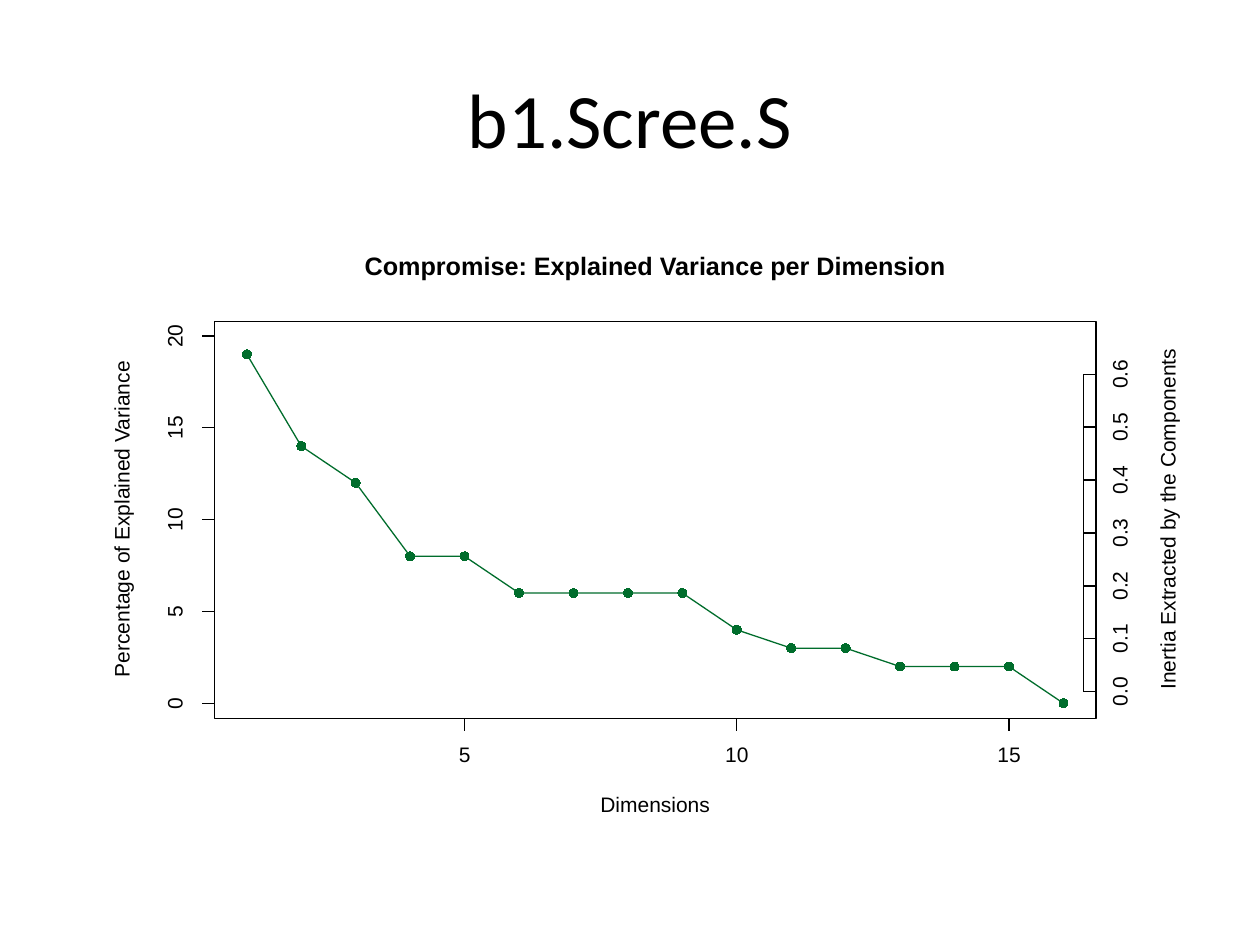
from dataclasses import dataclass
from lxml.etree import SubElement
from pptx import Presentation
from pptx.chart.data import XyChartData
from pptx.dml.color import RGBColor as Rgb
from pptx.enum.chart import XL_CHART_TYPE as Kind, XL_MARKER_STYLE as Mark
from pptx.enum.shapes import MSO_CONNECTOR as Conn, MSO_SHAPE as Form
from pptx.enum.text import MSO_ANCHOR as Anchor, PP_ALIGN as Align
from pptx.oxml import parse_xml
from pptx.oxml.ns import nsdecls, qn
from pptx.util import Inches, Pt


@dataclass(frozen=True)
class Theme:
    ink: Rgb = Rgb(0, 0, 0)
    green: Rgb = Rgb(0x00, 0x6D, 0x2C)
    head: str = "Calibri"
    body: str = "Arial"
    title: float = 44
    label: float = 14.4
    small: float = 12
    rule: float = 0.75
    dot: int = 5


THEME = Theme()
PANEL = (0.5, 1.75, 9, 4.95)
FRAME = (1.7, 2.55, 7, 3.15)
LEFT, TOP, WIDE, HIGH = FRAME
RIGHT, BASE = LEFT + WIDE, TOP + HIGH
XMIN, XMAX = 0.4, 16.6
YMIN, YMAX = -0.8, 20.8
TICK = 0.1
SHARES = [19, 14, 12, 8, 8, 6, 6, 6, 6, 4, 3, 3, 2, 2, 2, 0]


def across(val):
    return LEFT + (val - XMIN) / (XMAX - XMIN) * WIDE


def upward(val):
    return BASE - (val - YMIN) / (YMAX - YMIN) * HIGH


def inner(val):
    return 5.49 - 4.2 * val


def write(slide, text, mid, size=THEME.small, font=THEME.body, bold=False,
          turn=0, wide=0.24, high=0.16, tight=True):
    x, y = mid
    box = slide.shapes.add_textbox(Inches(x - wide / 2), Inches(y - high / 2),
                                   Inches(wide), Inches(high))
    box.rotation = turn
    frame = box.text_frame
    frame.word_wrap = not tight
    frame.vertical_anchor = Anchor.MIDDLE
    para = frame.paragraphs[0]
    para.alignment = Align.CENTER
    if tight:
        frame.margin_left = frame.margin_right = 0
        frame.margin_top = frame.margin_bottom = 0
        para.line_spacing = Pt(size)
    run = para.add_run()
    run.text = text
    run.font.size = Pt(size)
    run.font.name = font
    run.font.bold = bold
    run.font.color.rgb = THEME.ink


def line(slide, x1, y1, x2, y2):
    rule = slide.shapes.add_connector(
        Conn.STRAIGHT, Inches(x1), Inches(y1), Inches(x2), Inches(y2))
    rule.line.color.rgb = THEME.ink
    rule.line.width = Pt(THEME.rule)
    SubElement(rule.element.spPr, qn("a:effectLst"))


def border(slide):
    box = slide.shapes.add_shape(Form.RECTANGLE, *map(Inches, FRAME))
    box.shadow.inherit = False
    box.fill.background()
    box.line.color.rgb = THEME.ink
    box.line.width = Pt(THEME.rule)


def place(chart):
    left, top, wide, high = PANEL
    parts = {"x": (LEFT - left) / wide, "y": (TOP - top) / high,
             "w": WIDE / wide, "h": HIGH / high}
    modes = '<c:xMode val="edge"/><c:yMode val="edge"/>'
    sizes = "".join(f'<c:{key} val="{val:.5f}"/>' for key, val in parts.items())
    area = chart.element.find(".//" + qn("c:plotArea"))
    for old in area.findall(qn("c:layout")):
        area.remove(old)
    area.insert(0, parse_xml(
        f'<c:layout {nsdecls("c")}><c:manualLayout>'
        f'<c:layoutTarget val="inner"/>{modes}{sizes}'
        '</c:manualLayout></c:layout>'))


def plot(slide):
    data = XyChartData()
    row = data.add_series("Percentage of Explained Variance")
    for dim, share in enumerate(SHARES, 1):
        row.add_data_point(dim, share)
    chart = slide.shapes.add_chart(
        Kind.XY_SCATTER_LINES, *map(Inches, PANEL), data).chart
    chart.has_title = chart.has_legend = False
    chart.font.name = THEME.body
    chart.font.size = Pt(THEME.small)
    chart.font.color.rgb = THEME.ink
    place(chart)
    ends = ((chart.category_axis, XMIN, XMAX), (chart.value_axis, YMIN, YMAX))
    for axis, low, top in ends:
        axis.minimum_scale, axis.maximum_scale = low, top
        axis.major_unit = 5
        axis.has_major_gridlines = False
        axis.visible = False
    chart.plots[0].vary_by_categories = False
    curve = chart.plots[0].series[0]
    curve.smooth = False
    curve.format.line.color.rgb = THEME.green
    curve.format.line.width = Pt(THEME.rule)
    curve.marker.style = Mark.CIRCLE
    curve.marker.size = THEME.dot
    curve.marker.format.fill.solid()
    curve.marker.format.fill.fore_color.rgb = THEME.green
    curve.marker.format.line.color.rgb = THEME.green


def scales(slide):
    line(slide, across(5), BASE, across(15), BASE)
    for val in range(5, 16, 5):
        x = across(val)
        line(slide, x, BASE, x, BASE + TICK)
        write(slide, str(val), (x, 6))
    line(slide, LEFT, upward(0), LEFT, upward(20))
    for val in range(0, 21, 5):
        y = upward(val)
        line(slide, LEFT, y, LEFT - TICK, y)
        write(slide, str(val), (1.4, y), turn=270)
    edge = RIGHT - TICK
    line(slide, edge, inner(0), edge, inner(0.6))
    for step in range(7):
        val = step / 10
        y = inner(val)
        line(slide, edge, y, RIGHT, y)
        write(slide, f"{val:.1f}", (8.9, y), turn=270)


def main():
    deck = Presentation()
    deck.slide_width, deck.slide_height = Inches(10), Inches(7.5)
    slide = deck.slides.add_slide(deck.slide_layouts[6])
    write(slide, "b1.Scree.S", (5, 0.93), size=THEME.title, font=THEME.head,
          wide=9, high=1.25, tight=False)
    plot(slide)
    border(slide)
    scales(slide)
    write(slide, "Compromise: Explained Variance per Dimension", (5.2, 2.13),
          size=THEME.label, bold=True, wide=4.62, high=0.19)
    write(slide, "Dimensions", (5.2, 6.4), wide=0.95)
    write(slide, "Percentage of Explained Variance", (0.98, 4.12),
          turn=270, wide=2.56)
    write(slide, "Inertia Extracted by the Components", (9.28, 4.12),
          turn=270, wide=2.75)
    deck.save("out.pptx")


main()
